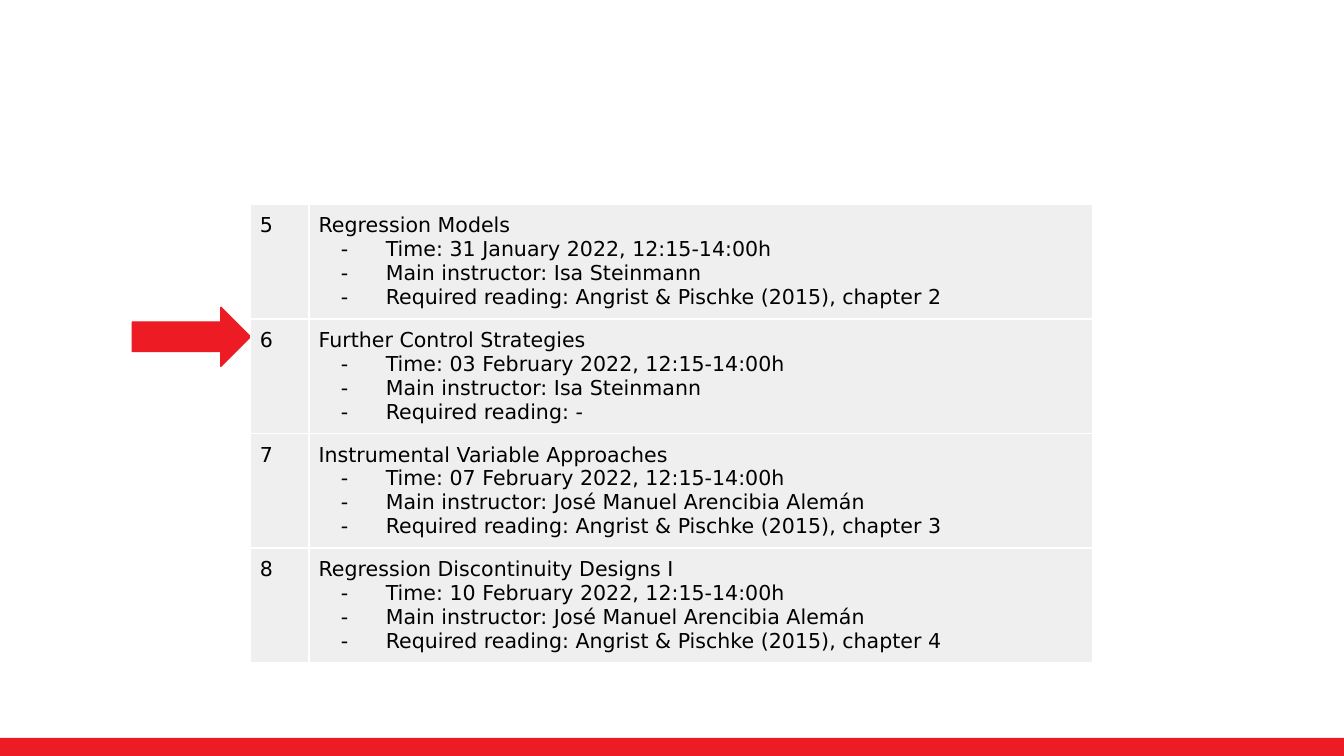
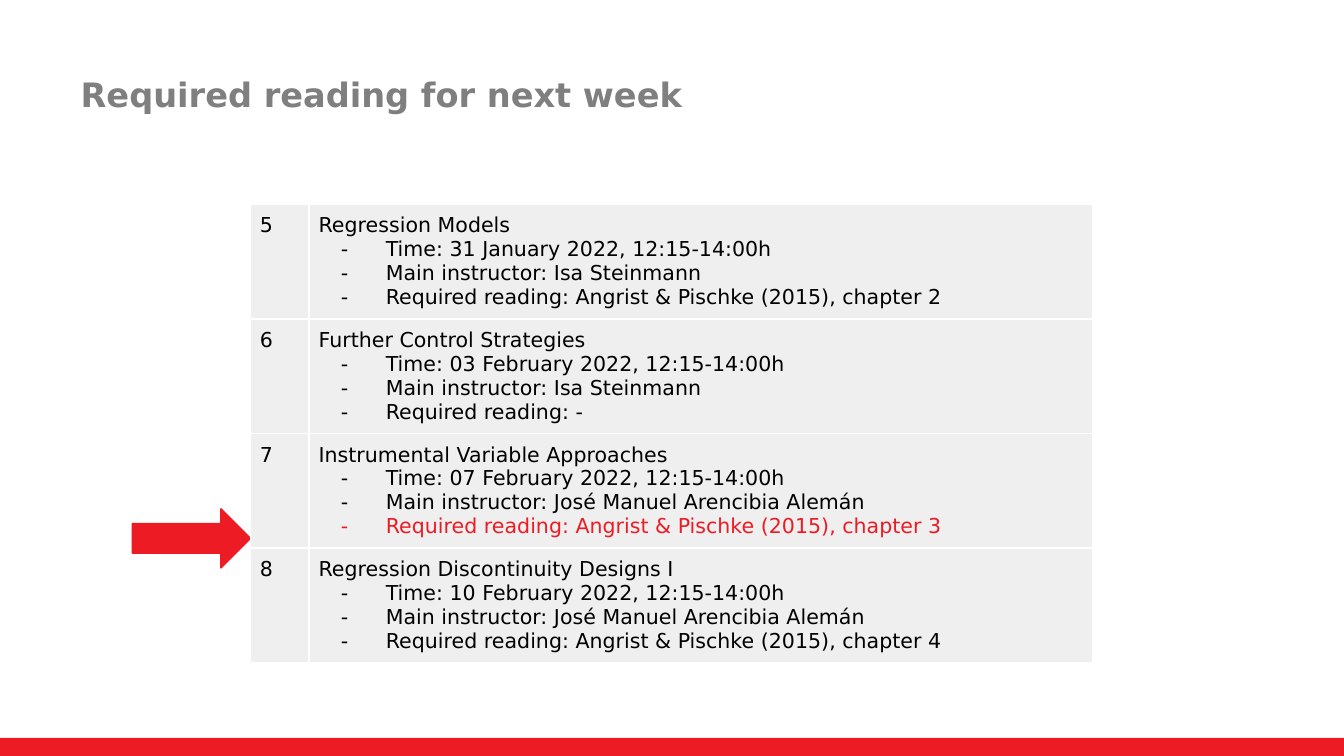
import dataclasses

import lxml.etree
import pptx
import pptx.dml.color
import pptx.enum.shapes
import pptx.enum.text
import pptx.oxml.ns
import pptx.util

Pt = pptx.util.Pt
qn = pptx.oxml.ns.qn


@dataclasses.dataclass(frozen=True)
class Theme:
    font: str = "DejaVu Sans"
    accent: str = "ED1C24"
    heading: str = "7F7F7F"
    text: str = "000000"
    cell: str = "EFEFEF"
    border: str = "FFFFFF"
    title_size: float = 18
    table_size: float = 11


@dataclasses.dataclass(frozen=True)
class Box:
    left: float
    top: float
    width: float
    height: float

    def lengths(self):
        return [Pt(value) for value in dataclasses.astuple(self)]


THEME = Theme()
PAGE = Box(0, 0, 720, 405)
BAND = Box(0, 395.3, 720, 9.7)
TITLE = Box(36, 16.5, 550.8, 67.7)
SCHEDULE = Box(134.2, 109.6, 451.4, 244.4)
ARROW_SIZE = (63.3, 31.7)
NUMBER_WIDTH = 31.5

# Number, topic, date, instructor, reading
SESSIONS = [
    ("5", "Regression Models", "31 January 2022",
     "Isa Steinmann", "Angrist & Pischke (2015), chapter 2"),
    ("6", "Further Control Strategies", "03 February 2022",
     "Isa Steinmann", "-"),
    ("7", "Instrumental Variable Approaches", "07 February 2022",
     "José Manuel Arencibia Alemán", "Angrist & Pischke (2015), chapter 3"),
    ("8", "Regression Discontinuity Designs I", "10 February 2022",
     "José Manuel Arencibia Alemán", "Angrist & Pischke (2015), chapter 4"),
]


def rgb(color):
    return pptx.dml.color.RGBColor.from_string(color)


def add_span(para, text, size, color, bold=False):
    span = para.add_run()
    span.text = text
    span.font.name = THEME.font
    span.font.size = Pt(size)
    span.font.bold = bold
    span.font.color.rgb = rgb(color)


def add_color(parent, color):
    lxml.etree.SubElement(parent, qn("a:srgbClr"), val=color)


def add_dash(para, color):
    """Hang the paragraph on a dash."""
    properties = para._p.get_or_add_pPr()
    properties.set("marL", str(Pt(36)))
    properties.set("indent", str(Pt(-24)))
    add_color(lxml.etree.SubElement(properties, qn("a:buClr")), color)
    lxml.etree.SubElement(properties, qn("a:buFont"), typeface=THEME.font)
    lxml.etree.SubElement(properties, qn("a:buChar"), char="-")


def add_borders(cell):
    properties = cell._tc.get_or_add_tcPr()
    for index, side in enumerate(("lnL", "lnR", "lnT", "lnB")):
        line = lxml.etree.Element(qn("a:" + side), w=str(Pt(1)))
        add_color(lxml.etree.SubElement(line, qn("a:solidFill")), THEME.border)
        properties.insert(index, line)


def fill_cell(cell, lines):
    """Write (text, color) lines; all after the first are dashed."""
    cell.fill.solid()
    cell.fill.fore_color.rgb = rgb(THEME.cell)
    cell.margin_left = cell.margin_right = Pt(5)
    cell.margin_top = cell.margin_bottom = Pt(5)
    add_borders(cell)
    frame = cell.text_frame
    for index, (text, color) in enumerate(lines):
        para = frame.add_paragraph() if index else frame.paragraphs[0]
        if index:
            add_dash(para, color)
        add_span(para, text, THEME.table_size, color)


def add_solid(page, kind, box):
    shape = page.shapes.add_shape(kind, *box.lengths())
    shape.shadow.inherit = False
    shape.fill.solid()
    shape.fill.fore_color.rgb = rgb(THEME.accent)
    return shape


def add_master_band(deck, page, box):
    """Draw the bottom band and hand it to the master, behind everything."""
    band = add_solid(page, pptx.enum.shapes.MSO_SHAPE.RECTANGLE, box)
    band.line.fill.background()
    deck.slide_master.shapes.element.insert(2, band.element)


def add_title(page, text, box):
    title = page.shapes.title
    title.left, title.top, title.width, title.height = box.lengths()
    frame = title.text_frame
    frame.word_wrap = True
    frame.auto_size = pptx.enum.text.MSO_AUTO_SIZE.NONE
    frame.vertical_anchor = pptx.enum.text.MSO_ANCHOR.MIDDLE
    para = frame.paragraphs[0]
    para.alignment = pptx.enum.text.PP_ALIGN.LEFT
    add_span(para, text, THEME.title_size, THEME.heading, bold=True)


def add_arrow(page, box, offset):
    """Point at the left edge of the box, offset below its top."""
    width, height = ARROW_SIZE
    place = Box(box.left - width, box.top + offset, width, height)
    arrow = add_solid(page, pptx.enum.shapes.MSO_SHAPE.RIGHT_ARROW, place)
    arrow.line.color.rgb = rgb(THEME.accent)
    arrow.line.width = Pt(0.75)


def add_schedule(page, box, marked_reading=None):
    table = page.shapes.add_table(len(SESSIONS), 2, *box.lengths()).table
    table.first_row = table.horz_banding = False
    table.columns[0].width = Pt(NUMBER_WIDTH)
    table.columns[1].width = Pt(box.width - NUMBER_WIDTH)
    for index, (number, topic, date, instructor, reading) in enumerate(SESSIONS):
        table.rows[index].height = Pt(box.height / len(SESSIONS))
        reading_color = THEME.accent if number == marked_reading else THEME.text
        fill_cell(table.cell(index, 0), [(number, THEME.text)])
        fill_cell(table.cell(index, 1), [
            (topic, THEME.text),
            (f"Time: {date}, 12:15-14:00h", THEME.text),
            (f"Main instructor: {instructor}", THEME.text),
            (f"Required reading: {reading}", reading_color),
        ])


def add_schedule_page(deck, arrow_offset, title=None, marked_reading=None):
    layout = "Title Only" if title else "Blank"
    page = deck.slides.add_slide(deck.slide_layouts.get_by_name(layout))
    if title:
        add_title(page, title, TITLE)
    add_arrow(page, SCHEDULE, arrow_offset)
    add_schedule(page, SCHEDULE, marked_reading)
    return page


def main():
    deck = pptx.Presentation()
    deck.slide_width, deck.slide_height = Pt(PAGE.width), Pt(PAGE.height)

    # Current session
    page = add_schedule_page(deck, 55)
    add_master_band(deck, page, BAND)

    # Reading for the coming session
    add_schedule_page(deck, 163, "Required reading for next week", "7")

    deck.save("out.pptx")


if __name__ == "__main__":
    main()
